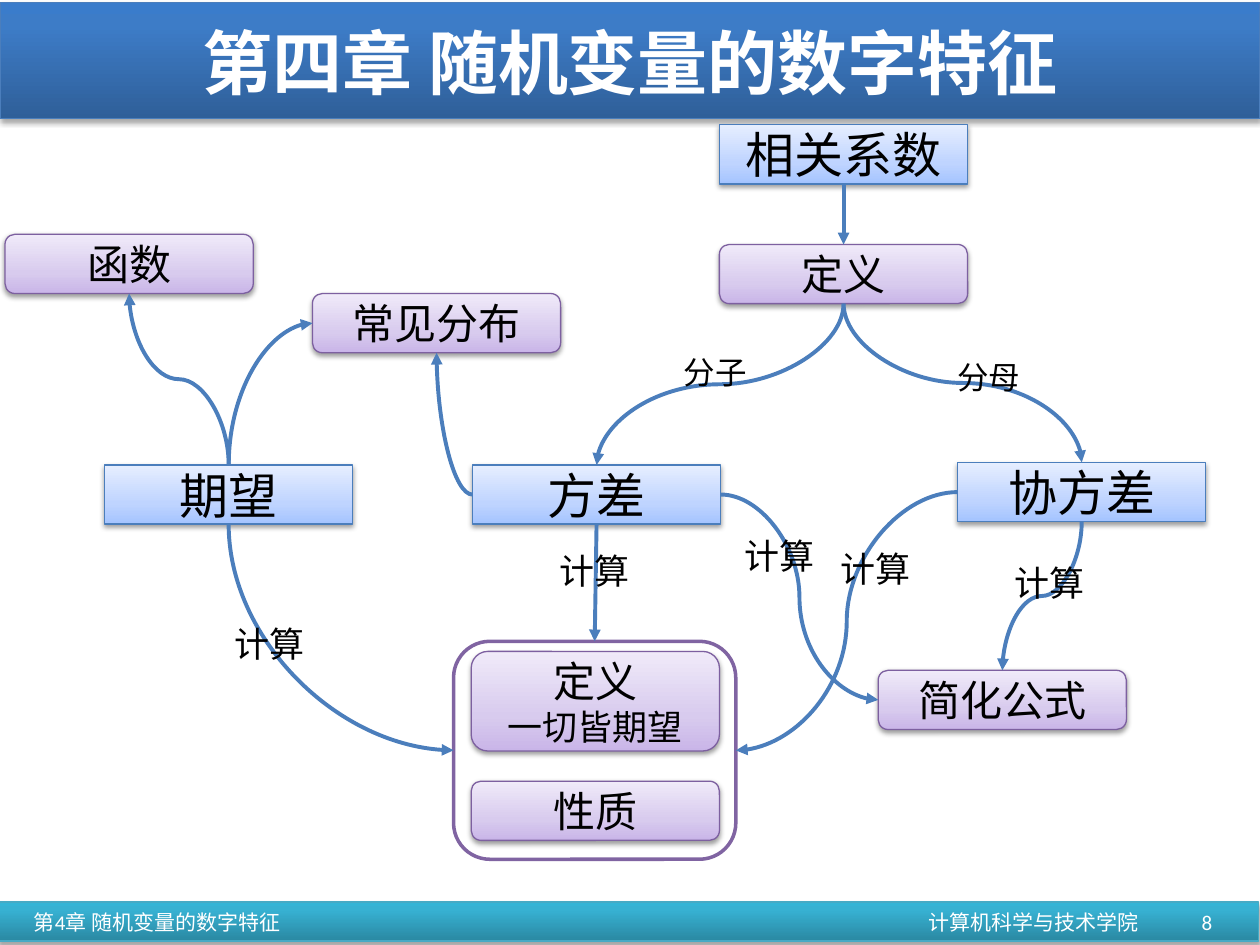
from typing import NamedTuple

from pptx import Presentation
from pptx.dml.color import RGBColor
from pptx.enum.shapes import MSO_CONNECTOR, MSO_SHAPE
from pptx.enum.text import MSO_ANCHOR, PP_ALIGN
from pptx.oxml import parse_xml
from pptx.oxml.ns import nsdecls, qn
from pptx.util import Inches, Pt

RECT, ROUND = MSO_SHAPE.RECTANGLE, MSO_SHAPE.ROUNDED_RECTANGLE
STRAIGHT, CURVE = MSO_CONNECTOR.STRAIGHT, MSO_CONNECTOR.CURVE
LEFT, CENTER, RIGHT = PP_ALIGN.LEFT, PP_ALIGN.CENTER, PP_ALIGN.RIGHT
MIDDLE, TOP = MSO_ANCHOR.MIDDLE, MSO_ANCHOR.TOP
NORTH, WEST, SOUTH, EAST = range(4)
NODE_WIDTH, NODE_HEIGHT = 1.97, 0.47
BLUE, BLACK, WHITE = "4B7EBC", "000000", "FFFFFF"


class Style(NamedTuple):
    preset: int
    stops: tuple
    line: str
    size: int = 24
    inset: float = 0.1
    shadow: tuple = (38, 1.6)


class Node(NamedTuple):
    name: str
    lines: tuple
    style: Style
    left: float
    top: float
    height: float = NODE_HEIGHT


class Link(NamedTuple):
    start: str
    start_side: int
    end: str
    end_side: int


class Label(NamedTuple):
    text: str
    left: float
    top: float
    size: int = 20


CONCEPT = Style(RECT, ((0, "A4C4FF"), (35, "BFD4FF"), (100, "E6EEFF")), BLUE, 28)
DETAIL = Style(ROUND, ((0, "C9B5E8"), (35, "D8CBEE"), (100, "F0EAF9")), "7D60A0", inset=0.04)
HEADER = Style(RECT, ((0, "2F5F99"), (80, "3D7CC7"), (100, "3A7CCB")), BLUE, shadow=(35, 1.8))
FOOTER = Style(RECT, ((0, "2A88A2"), (80, "37B1D2"), (100, "34B4D6")), "46AAC5", shadow=(35, 1.8))

NODES = (
    Node("expectation", ("期望",), CONCEPT, 0.83, 3.69),
    Node("variance", ("方差",), CONCEPT, 3.75, 3.69),
    Node("covariance", ("协方差",), CONCEPT, 7.6, 3.67),
    Node("correlation", ("相关系数",), CONCEPT, 5.71, 0.99),
    Node("basics", ("定义", "一切皆期望"), DETAIL, 3.74, 5.17, 0.79),
    Node("properties", ("性质",), DETAIL, 3.74, 6.2),
    Node("formula", ("简化公式",), DETAIL, 6.97, 5.32),
    Node("function", ("函数",), DETAIL, 0.04, 1.86),
    Node("definition", ("定义",), DETAIL, 5.71, 1.94),
    Node("distributions", ("常见分布",), DETAIL, 2.48, 2.33),
)
LINKS = (
    Link("expectation", SOUTH, "frame", WEST),
    Link("variance", SOUTH, "frame", NORTH),
    Link("covariance", WEST, "frame", EAST),
    Link("variance", EAST, "formula", WEST),
    Link("covariance", SOUTH, "formula", NORTH),
    Link("expectation", NORTH, "distributions", WEST),
    Link("expectation", NORTH, "function", SOUTH),
    Link("variance", WEST, "distributions", SOUTH),
    Link("correlation", SOUTH, "definition", NORTH),
    Link("definition", SOUTH, "covariance", NORTH),
    Link("definition", SOUTH, "variance", NORTH),
)
LABELS = (
    Label("计算", 1.76, 4.89),
    Label("计算", 4.34, 4.31),
    Label("计算", 5.81, 4.19),
    Label("计算", 6.57, 4.3),
    Label("计算", 7.95, 4.41),
    Label("分子", 5.33, 2.75, 18),
    Label("分母", 7.5, 2.79, 18),
)


def color(value: str) -> RGBColor:
    """Turn a hex string into a colour."""
    return RGBColor.from_string(value)


def add_panel(page, style: Style, left: float, top: float, width: float, height: float):
    """Draw a shape with a vertical gradient and a soft shadow."""
    shape = page.shapes.add_shape(style.preset, Inches(left), Inches(top), Inches(width), Inches(height))
    shape.line.color.rgb = color(style.line)
    shape.line.width = Pt(0.75)
    shape.shadow.inherit = False
    stops = "".join(
        f'<a:gs pos="{place * 1000}"><a:srgbClr val="{value}"/></a:gs>' for place, value in style.stops
    )
    properties = shape._element.spPr
    properties.find(qn("a:prstGeom")).addnext(parse_xml(
        f'<a:gradFill {nsdecls("a")} rotWithShape="1"><a:gsLst>{stops}</a:gsLst>'
        '<a:lin ang="16200000" scaled="0"/></a:gradFill>'
    ))
    alpha, distance = style.shadow
    properties.find(qn("a:effectLst")).append(parse_xml(
        f'<a:outerShdw {nsdecls("a")} blurRad="{Pt(3.1)}" dist="{Pt(distance)}" dir="5400000" '
        f'rotWithShape="0"><a:srgbClr val="000000"><a:alpha val="{alpha * 1000}"/></a:srgbClr></a:outerShdw>'
    ))
    return shape


def write(shape, lines: tuple, sizes: tuple, font: str, value: str, align=CENTER,
          anchor=MIDDLE, wrap: bool = True, bold: bool = False, tab: float = 0) -> None:
    """Fill a shape with one paragraph for each line."""
    frame = shape.text_frame
    frame.word_wrap = wrap
    frame.vertical_anchor = anchor
    for index, (line, size) in enumerate(zip(lines, sizes)):
        para = frame.add_paragraph() if index else frame.paragraphs[0]
        para.text = line
        para.alignment = align
        if tab:
            para._p.get_or_add_pPr().append(parse_xml(
                f'<a:tabLst {nsdecls("a")}><a:tab pos="{Inches(tab)}" algn="l"/></a:tabLst>'
            ))
        para.font.name = font
        para.font.size = Pt(size)
        para.font.bold = bold
        para.font.color.rgb = color(value)


def add_text(page, text: str, area: tuple, size: int, font: str, value: str, **options) -> None:
    """Place a text box over an area given in inches."""
    box = page.shapes.add_textbox(*(Inches(length) for length in area))
    write(box, (text,), (size,), font, value, **options)


def add_node(page, node: Node):
    """Draw one node of the map."""
    shape = add_panel(page, node.style, node.left, node.top, NODE_WIDTH, node.height)
    shape.text_frame.margin_left = shape.text_frame.margin_right = Inches(node.style.inset)
    write(shape, node.lines, (node.style.size, 20), "Calibri", BLACK)
    return shape


def side_point(shape, side: int) -> tuple:
    """Return the middle of one side of a shape."""
    across = {WEST: 0, EAST: shape.width}.get(side, shape.width // 2)
    down = {NORTH: 0, SOUTH: shape.height}.get(side, shape.height // 2)
    return shape.left + across, shape.top + down


def add_curve(page, link: Link, start: tuple, end: tuple):
    """Draw a curve that leaves and enters its shapes at right angles."""
    (x1, y1), (x2, y2) = start, end
    width, height = abs(x2 - x1), abs(y2 - y1)
    right, down = x2 > x1, y2 > y1
    if link.start_side in (NORTH, SOUTH):
        width, height = height, width
        angle, flip_h, flip_v = (90 if down != right else 270), right, not down
    else:
        angle, flip_h, flip_v = (0 if right else 180), False, right != down
    left, top = (x1 + x2 - width) // 2, (y1 + y2 - height) // 2
    connector = page.shapes.add_connector(CURVE, left, top, left + width, top + height)
    properties = connector._element.spPr
    frame = properties.find(qn("a:xfrm"))
    frame.set("rot", str(angle * 60000))
    frame.set("flipH", str(int(flip_h)))
    frame.set("flipV", str(int(flip_v)))
    if link.start_side % 2 != link.end_side % 2:
        properties.find(qn("a:prstGeom")).set("prst", "curvedConnector2")
    return connector


def add_link(page, link: Link, shapes: dict) -> None:
    """Draw an arrow between two nodes, straight when they are in line."""
    first, last = shapes[link.start], shapes[link.end]
    start, end = side_point(first, link.start_side), side_point(last, link.end_side)
    if abs(start[0] - end[0]) < Inches(0.05):
        connector = page.shapes.add_connector(STRAIGHT, *start, *end)
        connector.begin_connect(first, link.start_side)
        connector.end_connect(last, link.end_side)
    else:
        connector = add_curve(page, link, start, end)
    connector.line.color.rgb = color(BLUE)
    connector.line.width = Pt(2.25)
    properties = connector._element.spPr
    properties.find(qn("a:ln")).append(parse_xml(f'<a:tailEnd {nsdecls("a")} type="triangle"/>'))
    properties.append(parse_xml(f'<a:effectLst {nsdecls("a")}/>'))


def add_frame(page):
    """Draw the outline around the shared definition and properties."""
    frame = page.shapes.add_shape(ROUND, Inches(3.6), Inches(5.09), Inches(2.24), Inches(1.73))
    frame.shadow.inherit = False
    frame.fill.solid()
    frame.fill.fore_color.rgb = color(WHITE)
    frame.line.color.rgb = color("8064A2")
    frame.line.width = Pt(2)
    return frame


def main() -> None:
    """Build the chapter map and save it."""
    deck = Presentation()
    deck.slide_width, deck.slide_height = Inches(10), Inches(7.5)
    page = deck.slides.add_slide(deck.slide_layouts[6])
    footer = add_panel(page, FOOTER, -0.01, 7.16, 10, 0.31)
    footer.text_frame.margin_left = Inches(0.28)
    write(footer, ("第4章 随机变量的数字特征\t计算机科学与技术学院",), (12,), "Calibri", WHITE, LEFT, tab=7.1)
    add_panel(page, HEADER, 0, 0.02, 10, 0.92)
    add_text(page, "8", (7.39, 7.12, 2.33, 0.4), 12, "Calibri", WHITE, align=RIGHT)
    add_text(page, "第四章 随机变量的数字特征", (0.5, 0.1, 9, 0.77), 40, "Times New Roman", WHITE, bold=True)
    shapes = {"frame": add_frame(page)}
    for node in NODES:
        shapes[node.name] = add_node(page, node)
    for link in LINKS:
        add_link(page, link, shapes)
    for label in LABELS:
        area = (label.left, label.top, 0.2 + label.size * 0.028, label.size * 0.022)
        add_text(page, label.text, area, label.size, "Karla", BLACK, align=LEFT, anchor=TOP, wrap=False)
    deck.save("out.pptx")


if __name__ == "__main__":
    main()
